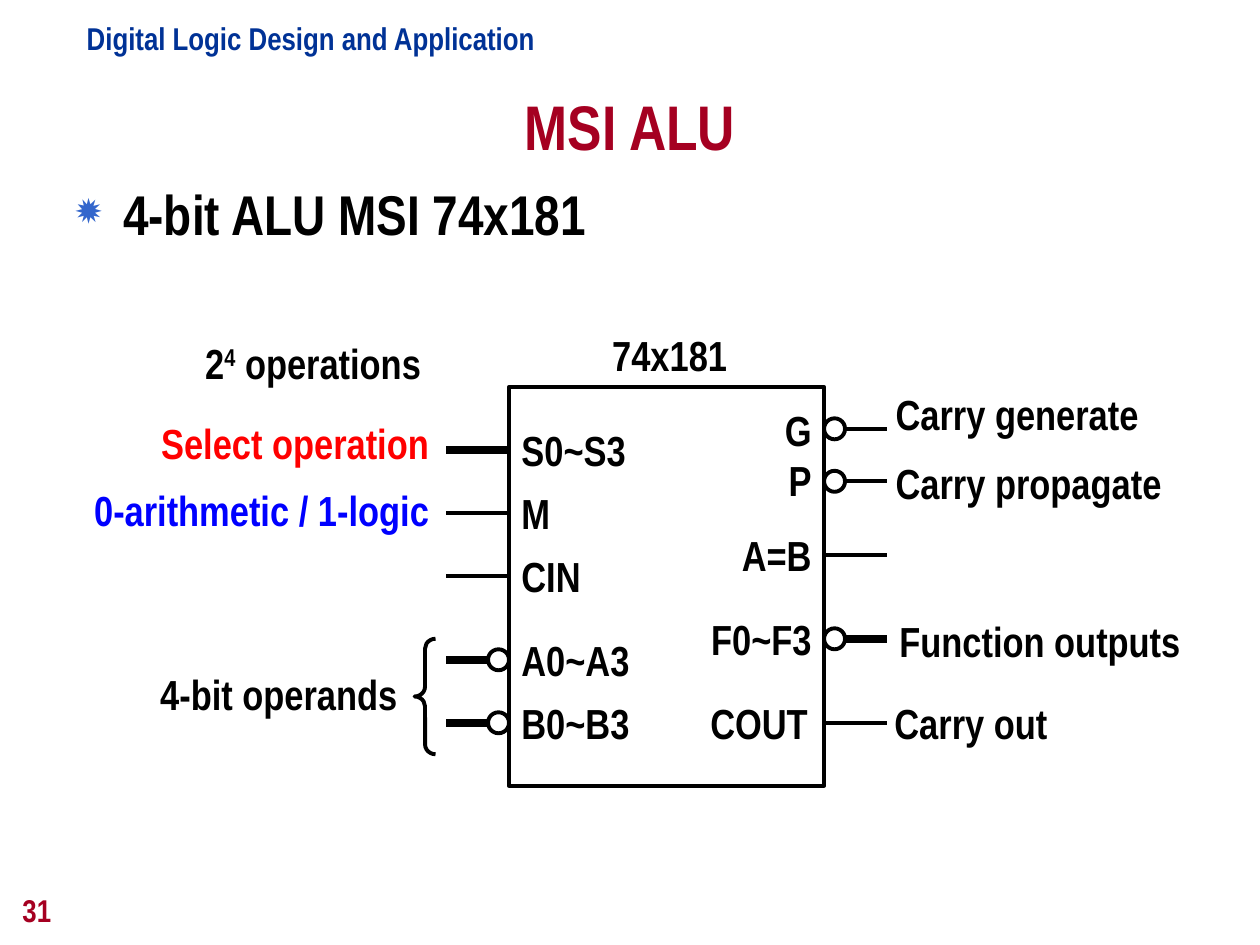
from collections import namedtuple

from lxml.etree import SubElement
from pptx import Presentation
from pptx.dml.color import RGBColor
from pptx.enum.shapes import MSO_CONNECTOR, MSO_SHAPE
from pptx.enum.text import MSO_ANCHOR, MSO_AUTO_SIZE, PP_ALIGN
from pptx.oxml.ns import qn
from pptx.util import Inches, Pt

Box = namedtuple("Box", "left top width height")
COLOURS = {
    "ink": "000000",
    "header": "003296",
    "title": "A50021",
    "bullet": "3366CC",
    "select": "FF0000",
    "mode": "0000FF",
}
FONT = "Arial Narrow"
CELL = 1 / 6
LABEL_HEIGHT = 0.5
LEAD = 3
THIN, BUS = 2.25, 4.5
LEFT, RIGHT, CENTER = PP_ALIGN.LEFT, PP_ALIGN.RIGHT, PP_ALIGN.CENTER

INPUTS = [
    ("S0~S3", 3, 1.03, BUS, False),
    ("M", 6, 0.43, THIN, False),
    ("CIN", 9, 0.67, THIN, False),
    ("A0~A3", 13, 1.06, BUS, True),
    ("B0~B3", 16, 1.06, BUS, True),
]
OUTPUT_PINS = [
    (2, THIN, True),
    (4.5, THIN, True),
    (8, THIN, False),
    (12, BUS, True),
    (16, THIN, False),
]
OUTPUT_LABELS = [
    ("G\nP", 3.25, 0.41, 0),
    ("A=B", 8, 0.75, 0),
    ("F0~F3", 12, 1, 0),
    ("COUT", 16, 0.97, 0.03),
]
INPUT_NOTES = [
    ("Select operation ", 2.65, 2.4, 3.58, "select"),
    ("0-arithmetic / 1-logic ", 5.85, 2.93, 3.58, "mode"),
    ("4-bit operands ", 14.6, 2.16, 3.33, "ink"),
]
OUTPUT_NOTES = [
    ("Carry generate", 1.3, 2.13, 7.01),
    ("Carry propagate", 4.55, 2.31, 7.01),
    ("Function outputs", 12.1, 2.43, 7.04),
    ("Carry out", 16, 1.41, 7),
]


def rgb(name):
    return RGBColor.from_string(COLOURS[name])


def apply(target, values):
    for name, value in values.items():
        setattr(target, name, value)


def inches(box):
    return [Inches(length) for length in box]


def add_span(para, text, size, colour):
    span = para.add_run()
    span.text = text
    apply(span.font, {"name": FONT, "size": Pt(size), "bold": True})
    span.font.color.rgb = rgb(colour)
    return span


def add_text(slide, box, text, size=24, colour="ink", align=LEFT, **frame_values):
    frame = slide.shapes.add_textbox(*inches(box)).text_frame
    apply(frame, {"word_wrap": False, "auto_size": MSO_AUTO_SIZE.NONE, **frame_values})
    for index, line in enumerate(text.split("\n")):
        para = frame.add_paragraph() if index else frame.paragraphs[0]
        para.alignment = align
        if line:
            add_span(para, line, size, colour)
    return frame


def row_y(chip, row):
    return chip.top + row * CELL


def add_label(slide, chip, text, row, edge, width, align=LEFT, colour="ink"):
    height = LABEL_HEIGHT + 0.4 * text.count("\n")
    left = edge - width if align == RIGHT else edge
    box = Box(left, row_y(chip, row) - height / 2, width, height)
    add_text(slide, box, text, colour=colour, align=align)


def add_outline(slide, kind, box):
    shape = slide.shapes.add_shape(kind, *inches(box))
    shape.shadow.inherit = False
    shape.fill.background()
    shape.line.color.rgb = rgb("ink")
    shape.line.width = Pt(THIN)
    return shape


def add_pin(slide, chip, row, edge, direction, weight, bubble):
    y = row_y(chip, row)
    start = edge + direction * CELL if bubble else edge
    end = edge + direction * LEAD * CELL
    ends = [min(start, end), y, max(start, end), y]
    lead = slide.shapes.add_connector(MSO_CONNECTOR.STRAIGHT, *inches(ends))
    lead.line.color.rgb = rgb("ink")
    lead.line.width = Pt(weight)
    SubElement(lead._element.spPr, qn("a:effectLst"))
    if bubble:
        box = Box(min(edge, start), y - CELL / 2, CELL, CELL)
        add_outline(slide, MSO_SHAPE.OVAL, box)


def add_chip(slide, chip):
    right = chip.left + chip.width
    add_outline(slide, MSO_SHAPE.RECTANGLE, chip)
    add_label(slide, chip, "74x181", -1.5, chip.left + 0.72, 1.11)
    for text, row, width, weight, bubble in INPUTS:
        add_label(slide, chip, text, row, chip.left, width)
        add_pin(slide, chip, row, chip.left, -1, weight, bubble)
    for text, row, width, gap in OUTPUT_LABELS:
        add_label(slide, chip, text, row, right - gap, width, RIGHT)
    for row, weight, bubble in OUTPUT_PINS:
        add_pin(slide, chip, row, right, 1, weight, bubble)


def add_notes_around(slide, chip):
    for text, row, width, edge, colour in INPUT_NOTES:
        add_label(slide, chip, text, row, edge, width, RIGHT, colour)
    for text, row, width, edge in OUTPUT_NOTES:
        add_label(slide, chip, text, row, edge, width)
    brace_box = Box(chip.left - 4.5 * CELL, row_y(chip, 12), CELL, 5.5 * CELL)
    brace = add_outline(slide, MSO_SHAPE.LEFT_BRACE, brace_box)
    brace.adjustments[0] = 0.47


def add_operation_count(slide, box):
    para = add_text(slide, box, "", word_wrap=True).paragraphs[0]
    for text, baseline in [("2", 0), ("4", 30000), (" operations", 0)]:
        span = add_span(para, text, 24, "ink")
        if baseline:
            span._r.get_or_add_rPr().set("baseline", str(baseline))


def add_title(slide, box):
    title = slide.shapes.title
    apply(title, dict(zip(box._fields, inches(box))))
    apply(title.text_frame, {"word_wrap": True, "vertical_anchor": MSO_ANCHOR.MIDDLE})
    para = title.text_frame.paragraphs[0]
    para.alignment = CENTER
    add_span(para, "MSI ALU", 36, "title")


def add_bullet_line(slide, box):
    frame = add_text(slide, box, "4-bit ALU MSI 74x181", 32,
                     word_wrap=True, vertical_anchor=MSO_ANCHOR.MIDDLE)
    props = frame.paragraphs[0]._p.get_or_add_pPr()
    indent = Inches(0.38)
    props.set("marL", str(indent))
    props.set("indent", str(-indent))
    colour = SubElement(props, qn("a:buClr"))
    SubElement(colour, qn("a:srgbClr"), val=COLOURS["bullet"])
    SubElement(props, qn("a:buSzPct"), val="80000")
    SubElement(props, qn("a:buChar"), char="✹")


def main():
    deck = Presentation()
    apply(deck, {"slide_width": Inches(10), "slide_height": Inches(7.5)})
    slide = deck.slides.add_slide(deck.slide_layouts[5])
    chip = Box(4.04, 3.07, 15 * CELL, 19 * CELL)
    add_text(slide, Box(0.59, 0.1, 3.76, 0.4),
             "Digital Logic Design and Application", 18, "header")
    add_title(slide, Box(0, 0.6, 10, 0.79))
    add_bullet_line(slide, Box(0.5, 1.33, 9, 0.72))
    add_chip(slide, chip)
    add_notes_around(slide, chip)
    add_operation_count(slide, Box(1.53, 2.63, 2.28, LABEL_HEIGHT))
    add_text(slide, Box(0.08, 6.92, 2.08, 0.5), "31", 18, "title",
             word_wrap=True, vertical_anchor=MSO_ANCHOR.BOTTOM)
    deck.save("out.pptx")


if __name__ == "__main__":
    main()
